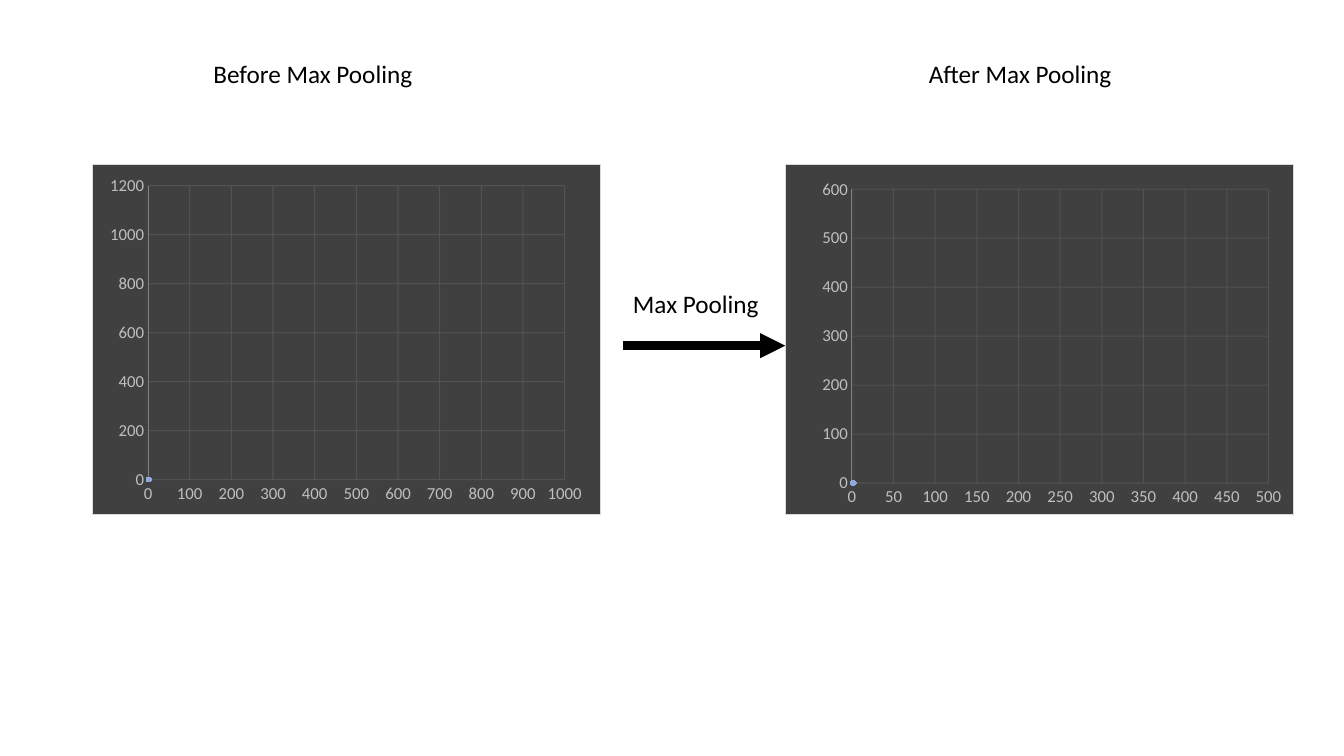
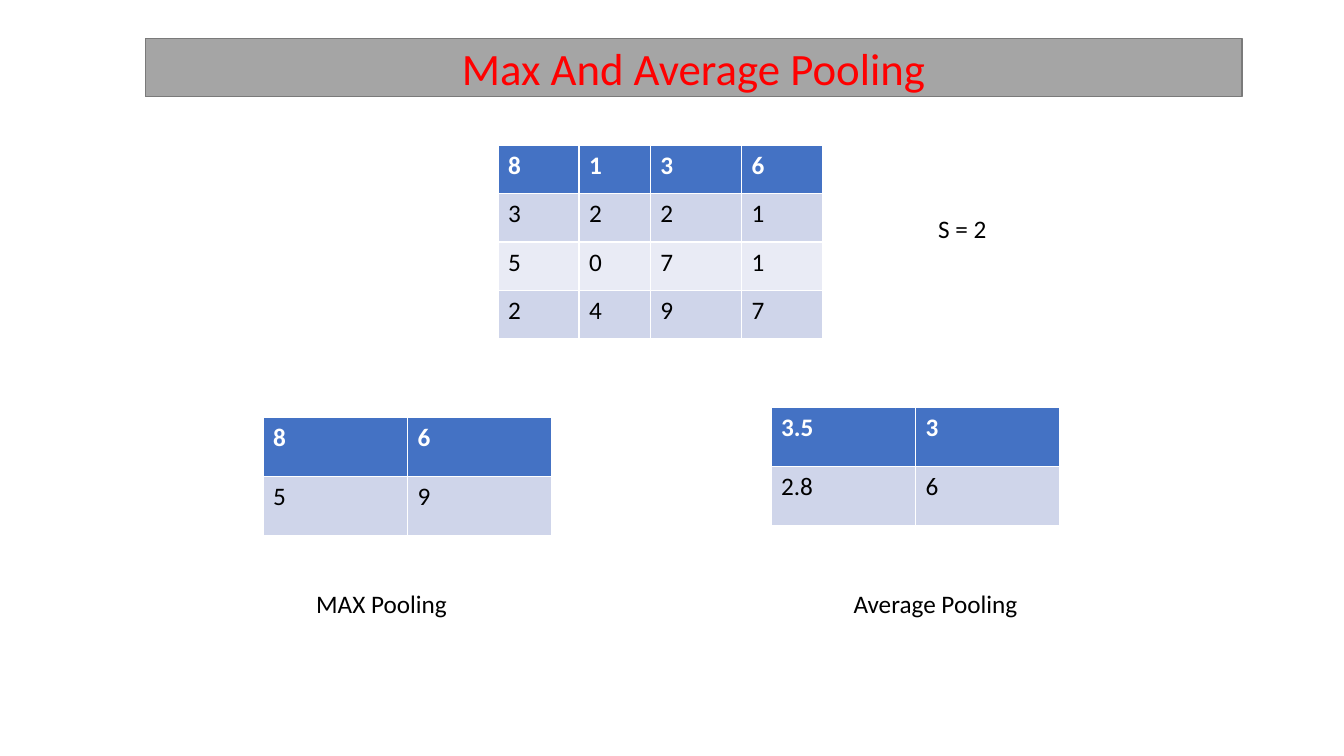
from pptx import Presentation
from pptx.chart.data import XyChartData
from pptx.dml.color import RGBColor
from pptx.enum.chart import XL_CHART_TYPE as Chart, XL_MARKER_STYLE as Marker, XL_TICK_MARK as Tick
from pptx.enum.shapes import MSO_CONNECTOR as Link
from pptx.enum.text import MSO_ANCHOR as Anchor, MSO_AUTO_SIZE as Fit, PP_ALIGN as Align
from pptx.oxml import parse_xml
from pptx.oxml.ns import nsdecls, qn
from pptx.util import Cm, Pt
from lxml.etree import SubElement

BLACK = RGBColor(0x00, 0x00, 0x00)
WHITE = RGBColor(0xFF, 0xFF, 0xFF)
RED = RGBColor(0xFF, 0x00, 0x00)
BAND = RGBColor(0xA5, 0xA5, 0xA5)
BAND_EDGE = RGBColor(0x7A, 0x7A, 0x7A)
HEADER = RGBColor(0x44, 0x72, 0xC4)
ROW_DARK = RGBColor(0xCF, 0xD5, 0xEA)
ROW_LIGHT = RGBColor(0xE9, 0xEB, 0xF5)
PANEL = RGBColor(0x40, 0x40, 0x40)
GRID = RGBColor(0x59, 0x59, 0x59)
AXIS = RGBColor(0x80, 0x80, 0x80)
AXIS_TEXT = RGBColor(0xBF, 0xBF, 0xBF)
POINT = RGBColor(0x8F, 0xAA, 0xDC)

BODY = {"name": "Calibri", "size": Pt(18), "bold": False}
LAYOUT_TITLE, LAYOUT_BLANK = 5, 6


class Deck:
    """Holds the deck style and the current slide, and draws each kind of element."""

    def __init__(self):
        self.prs = Presentation()
        self.prs.slide_width, self.prs.slide_height = Cm(33.87), Cm(19.05)
        self.s = None

    def slide(self, layout):
        self.s = self.prs.slides.add_slide(self.prs.slide_layouts[layout])

    def style(self, font, color, **extra):
        for key, value in {**BODY, **extra}.items():
            setattr(font, key, value)
        font.color.rgb = color

    def fill(self, target, color):
        target.fill.solid()
        target.fill.fore_color.rgb = color

    def line(self, line, color, width=0.75):
        line.color.rgb = color
        line.width = Pt(width)

    def title(self, text, x, y, w, h):
        sp = self.s.shapes.title
        sp.left, sp.top, sp.width, sp.height = Cm(x), Cm(y), Cm(w), Cm(h)
        self.fill(sp, BAND)
        self.line(sp.line, BAND_EDGE, 1)
        tf = sp.text_frame
        tf.auto_size, tf.vertical_anchor = Fit.NONE, Anchor.MIDDLE
        p = tf.paragraphs[0]
        p.alignment = Align.CENTER
        r = p.add_run()
        r.text = text
        self.style(r.font, RED, size=Pt(32))

    def text(self, text, x, y, w):
        tf = self.s.shapes.add_textbox(Cm(x), Cm(y), Cm(w), Cm(1.03)).text_frame
        tf.word_wrap, tf.auto_size = True, Fit.SHAPE_TO_FIT_TEXT
        r = tf.paragraphs[0].add_run()
        r.text = text
        self.style(r.font, BLACK)

    def arrow(self, x1, x2, y):
        sp = self.s.shapes.add_connector(Link.STRAIGHT, Cm(x1), Cm(y), Cm(x2), Cm(y))
        self.line(sp.line, BLACK, 6)
        SubElement(sp.line._get_or_add_ln(), qn("a:tailEnd"), type="triangle")
        SubElement(sp._element.spPr, qn("a:effectLst"))

    def table(self, rows, x, y, widths, row_height):
        frame = self.s.shapes.add_table(len(rows), len(widths), Cm(x), Cm(y),
                                        Cm(sum(widths)), Cm(row_height * len(rows)))
        table = frame.table
        for column, width in zip(table.columns, widths):
            column.width = Cm(width)
        for i, row in enumerate(rows):
            header = i == 0
            color = HEADER if header else (ROW_LIGHT, ROW_DARK)[i % 2]
            for j, value in enumerate(row):
                cell = table.cell(i, j)
                self.fill(cell, color)
                r = cell.text_frame.paragraphs[0].add_run()
                r.text = value
                self.style(r.font, WHITE if header else BLACK, bold=header)

    def axis(self, axis, top, step):
        settings = {"minimum_scale": 0, "maximum_scale": top, "major_unit": step,
                    "major_tick_mark": Tick.NONE, "minor_tick_mark": Tick.NONE,
                    "has_major_gridlines": True}
        for key, value in settings.items():
            setattr(axis, key, value)
        self.style(axis.tick_labels.font, AXIS_TEXT, size=Pt(12))
        grid = axis.major_gridlines.format.line
        self.line(grid, GRID)
        rgb = grid._get_or_add_ln().find(".//" + qn("a:srgbClr"))
        SubElement(rgb, qn("a:alpha"), val="75000")

    def scatter(self, points, x, y, x_scale, y_scale, plot_x, plot_y):
        data = XyChartData()
        series = data.add_series("Series 1")
        for point in points:
            series.add_data_point(*point)
        chart = self.s.shapes.add_chart(Chart.XY_SCATTER, Cm(x), Cm(y),
                                        Cm(12.83), Cm(8.84), data).chart
        chart.has_title = chart.has_legend = False
        self.style(chart.font, BLACK, size=Pt(10))
        chart.plots[0].vary_by_categories = False
        self.axis(chart.category_axis, *x_scale)
        self.axis(chart.value_axis, *y_scale)
        chart.category_axis.format.line.fill.background()
        self.line(chart.value_axis.format.line, AXIS)
        dots = chart.plots[0].series[0]
        dots.smooth = False
        dots.format.line.fill.background()
        dots.marker.style, dots.marker.size = Marker.CIRCLE, 3
        self.fill(dots.marker.format, POINT)
        self.line(dots.marker.format.line, POINT)
        self.frame(chart, plot_x, plot_y)

    def frame(self, chart, plot_x, plot_y):
        space = chart._chartSpace
        space.find(qn("c:txPr")).addprevious(parse_xml(
            f'<c:spPr {nsdecls("c", "a")}><a:solidFill><a:srgbClr val="{PANEL}"/></a:solidFill>'
            '<a:ln w="9525"><a:solidFill><a:srgbClr val="D9D9D9"/></a:solidFill></a:ln></c:spPr>'))
        area = space.find(".//" + qn("c:plotArea"))
        for old in area.findall(qn("c:layout")):
            area.remove(old)
        layout = SubElement(area, qn("c:layout"))
        area.insert(0, layout)
        manual = SubElement(layout, qn("c:manualLayout"))
        values = {"layoutTarget": "inner", "xMode": "edge", "yMode": "edge",
                  "x": plot_x, "y": plot_y, "w": 0.82, "h": 0.84}
        for key, value in values.items():
            SubElement(manual, qn("c:" + key), val=str(value))


def main():
    d = Deck()
    points = [(0.7, 0), (1.8, 0), (2.6, 0)]

    d.slide(LAYOUT_BLANK)
    d.scatter(points, 2.31, 4.14, (1000, 100), (1200, 200), 0.11, 0.06)
    d.scatter(points, 19.79, 4.14, (500, 50), (600, 100), 0.13, 0.07)
    d.arrow(15.7, 19.79, 8.71)
    d.text("Max Pooling", 15.7, 7.14, 3.8)
    d.text("Before Max Pooling", 5.13, 1.35, 6.07)
    d.text("After Max Pooling", 23.16, 1.35, 6.07)

    d.slide(LAYOUT_TITLE)
    d.title("Max And Average Pooling", 3.66, 0.97, 27.64, 1.47)
    d.table(["8136", "3221", "5071", "2497"], 12.55, 3.66, (2.04, 1.8, 2.3, 2.04), 1.22)
    d.table([("8", "6"), ("5", "9")], 6.63, 10.52, (3.64, 3.64), 1.49)
    d.table([("3.5", "3"), ("2.8", "6")], 19.43, 10.26, (3.64, 3.64), 1.49)
    d.text("MAX Pooling", 7.72, 14.71, 4.47)
    d.text("Average Pooling", 21.26, 14.71, 5.46)
    d.text("S = 2", 23.39, 5.26, 4.42)

    d.prs.save("out.pptx")


if __name__ == "__main__":
    main()
